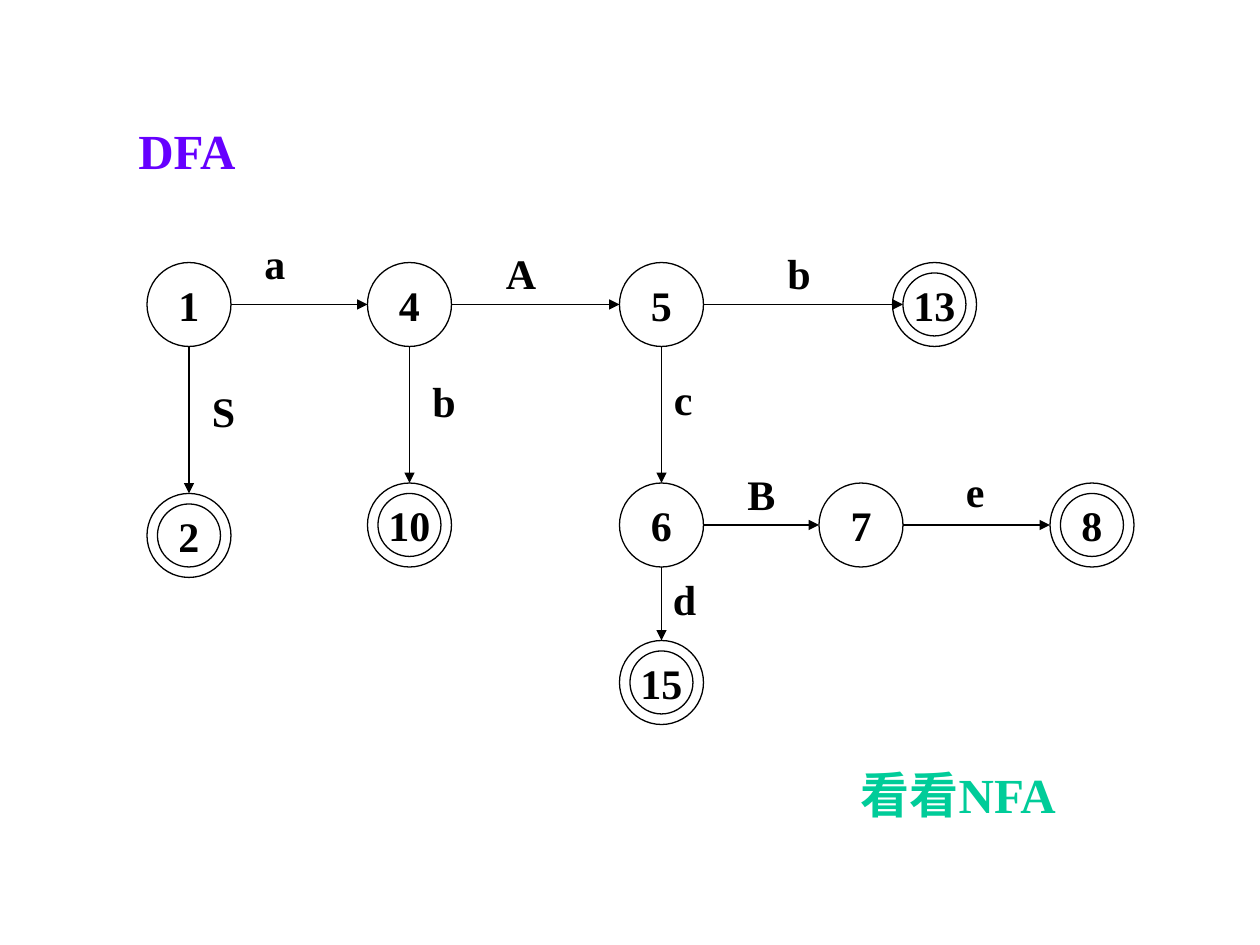
from pptx import Presentation
from pptx.dml.color import RGBColor
from pptx.enum.shapes import MSO_CONNECTOR, MSO_SHAPE
from pptx.enum.text import MSO_ANCHOR, MSO_AUTO_SIZE, PP_ALIGN
from pptx.oxml.ns import qn
from pptx.util import Inches, Pt
from lxml.etree import SubElement


def color(code):
    return RGBColor.from_string(code)


class Board:
    """Style and current slide; lengths are cells of a 120 x 90 grid."""
    font, ink, paper = "Times New Roman", "000000", "FFFFFF"
    size, inset, thin = 8, 1, 0.75

    def __init__(self, deck):
        self.slide = deck.slides.add_slide(deck.slide_layouts[6])
        self.cell = deck.slide_width / 120

    def grid(self, *cells):
        return [round(n * self.cell) for n in cells]

    def letter(self, frame, text, points, code):
        frame.text = text
        font = frame.paragraphs[0].runs[0].font
        font.name, font.size, font.bold = self.font, Pt(points), True
        font.color.rgb = color(code)

    def label(self, text, x, y, width, height=6, points=24, code=ink):
        box = self.slide.shapes.add_textbox(*self.grid(x, y, width, height))
        frame = box.text_frame
        frame.word_wrap = True
        frame.auto_size = MSO_AUTO_SIZE.SHAPE_TO_FIT_TEXT
        self.letter(frame, text, points, code)

    def ring(self, shapes, x, y, size):
        ring = shapes.add_shape(MSO_SHAPE.OVAL, *self.grid(x, y, size, size))
        ring.shadow.inherit = False
        ring.fill.solid()
        ring.fill.fore_color.rgb = color(self.paper)
        ring.line.color.rgb = color(self.ink)
        ring.line.width = Pt(self.thin)
        return ring

    def state(self, name, x, y, final=False):
        shapes = self.slide.shapes
        if final:
            shapes = shapes.add_group_shape().shapes
        ring = self.ring(shapes, x, y, self.size)
        if final:
            gap = self.inset
            ring = self.ring(shapes, x + gap, y + gap, self.size - 2 * gap)
        frame = ring.text_frame
        frame.word_wrap = False
        frame.vertical_anchor = MSO_ANCHOR.MIDDLE
        self.letter(frame, name, 24, self.ink)
        frame.paragraphs[0].alignment = PP_ALIGN.CENTER

    def arrow(self, start, end, reach=0):
        (x1, y1), (x2, y2) = start, end
        half = self.size / 2
        if x1 == x2:
            ends = x1 + half, y1 + self.size, x2 + half, y2
        else:
            ends = x1 + self.size, y1 + half, x2 + reach, y2 + half
        line = self.slide.shapes.add_connector(
            MSO_CONNECTOR.STRAIGHT, *self.grid(*ends))
        line.line.color.rgb = color(self.ink)
        line.line.width = Pt(self.thin)
        shape = line.element.spPr
        SubElement(shape.find(qn("a:ln")), qn("a:tailEnd"), type="triangle")
        SubElement(shape, qn("a:effectLst"))


# State name: left and top cell
STATES = {
    "1": (14, 25), "4": (35, 25), "5": (59, 25), "6": (59, 46), "7": (78, 46),
    "15": (59, 61), "8": (100, 46), "13": (85, 25), "10": (35, 46), "2": (14, 47),
}
FINAL = {"15", "8", "13", "10", "2"}

# From, to, symbol, then the symbol's left, top and width
MOVES = [
    ("1", "4", "a", 24, 22, 8),
    ("4", "5", "A", 47, 23, 8),
    ("5", "13", "b", 73.8, 23, 6),
    ("1", "2", "S", 19, 36.1, 6),
    ("4", "10", "b", 40, 35.2, 5),
    ("5", "6", "c", 63, 35, 8),
    ("6", "15", "d", 62.9, 54, 5.4),
    ("6", "7", "B", 70, 44, 4.2),
    ("7", "8", "e", 90.8, 43.7, 4),
]


def main():
    deck = Presentation()
    deck.slide_width, deck.slide_height = Inches(10), Inches(7.5)
    board = Board(deck)

    # Title
    board.label("DFA", 12, 10.9, 26, 6.8, 28, "6600FF")

    # States
    for name, place in STATES.items():
        board.state(name, *place, name in FINAL)

    # Moves; the one into 13 runs on to its inner ring
    for start, end, symbol, *place in MOVES:
        reach = board.inset if end == "13" else 0
        board.arrow(STATES[start], STATES[end], reach)
        board.label(symbol, *place)

    # Pointer to the NFA
    board.label("看看NFA", 80.8, 72.2, 23.6, 6.8, 28, "00CC99")

    deck.save("out.pptx")


if __name__ == "__main__":
    main()
